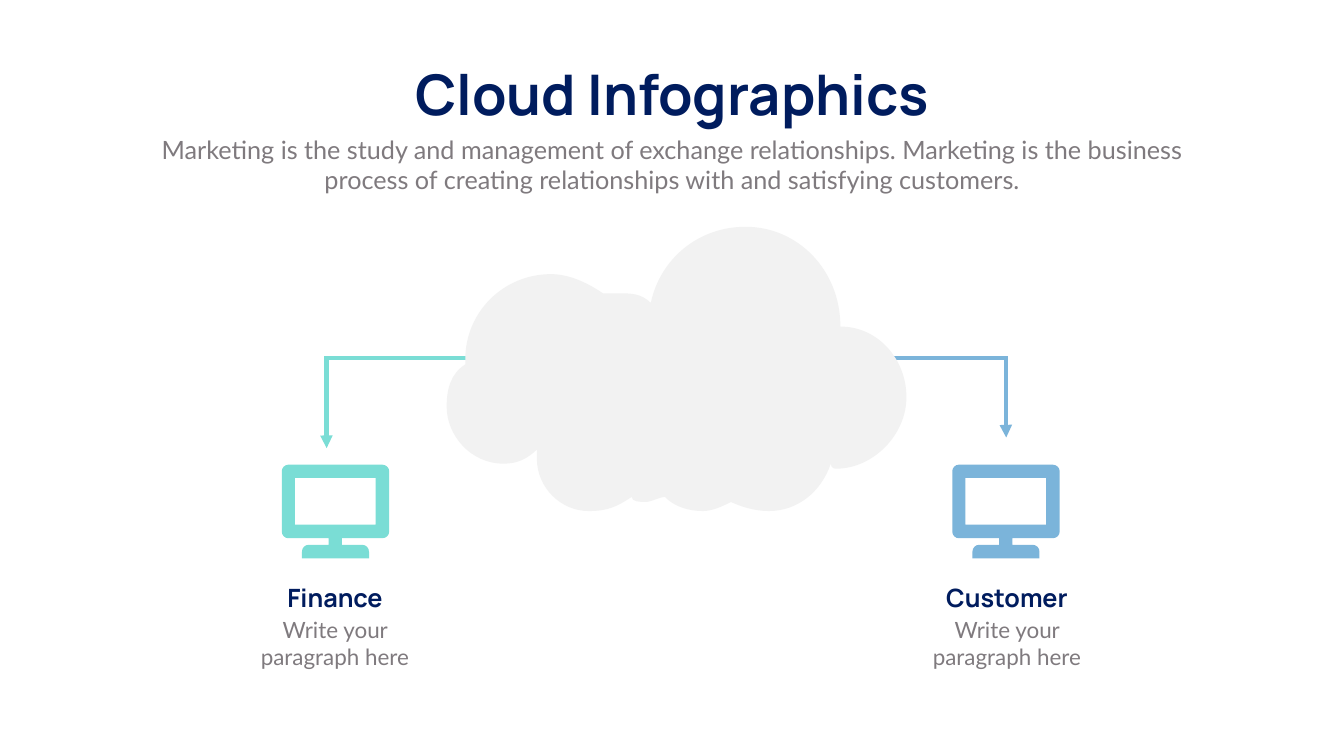
from lxml import etree
from pptx import Presentation
from pptx import util as u
from pptx.dml.color import RGBColor
from pptx.enum import shapes, text
from pptx.oxml.ns import qn

PX = u.Inches(1) // 100
NAVY, GREY, TEAL, BLUE, CLOUD = "001C5E", "7F7A7E", "7ADDD5", "7BB4DA", "F2F2F2"

deck = Presentation()
deck.slide_width, deck.slide_height = 2666 * PX, 1500 * PX
page = deck.slides.add_slide(deck.slide_layouts[6])


def add_text(words, left, top, width, height, size, font="Lato", color=GREY, bold=False, wrap=True):
    box = page.shapes.add_textbox(left * PX, top * PX, width * PX, height * PX)
    box.text_frame.word_wrap = wrap
    box.text_frame.auto_size = text.MSO_AUTO_SIZE.SHAPE_TO_FIT_TEXT
    para = box.text_frame.paragraphs[0]
    para.alignment = text.PP_ALIGN.CENTER
    span = para.add_run()
    span.text = words
    span.font.name, span.font.size, span.font.bold = font, u.Pt(size), bold
    span.font.color.rgb = RGBColor.from_string(color)


def add_outline(contours, color, left=0, top=0):
    builder = page.shapes.build_freeform(*contours[0][0], scale=PX)
    for number, (start, *segments) in enumerate(contours):
        if number:
            builder.move_to(*start)
        builder.add_line_segments([segment[-2:] for segment in segments], close=True)
    shape = builder.convert_to_shape()
    x0, y0 = shape.left // PX, shape.top // PX
    lines = list(shape._element.iter(qn("a:lnTo")))
    segments = [segment for contour in contours for segment in contour[1:]]
    for line, segment in zip(lines, segments):
        if len(segment) == 6:
            curve = etree.Element(qn("a:cubicBezTo"))
            for x, y in zip(segment[::2], segment[1::2]):
                etree.SubElement(curve, qn("a:pt"), x=str(x - x0), y=str(y - y0))
            line.getparent().replace(line, curve)
    shape.left += left * PX
    shape.top += top * PX
    shape.shadow.inherit = False
    shape.fill.solid()
    shape.fill.fore_color.rgb = RGBColor.from_string(color)
    shape.line.fill.background()


monitor = [
    [(199, 0), (13, 0), (6, 0, 0, 6, 0, 13), (0, 133), (0, 140, 6, 146, 13, 146),
     (93, 146), (93, 159), (53, 159), (46, 159, 40, 165, 40, 173), (40, 186),
     (173, 186), (173, 173), (173, 165, 167, 159, 159, 159), (119, 159), (119, 146),
     (199, 146), (207, 146, 213, 140, 213, 133), (213, 13), (213, 6, 207, 0, 199, 0)],
    [(186, 119), (26, 119), (26, 26), (186, 26)],
]
cloud = [[
    (1667, 648), (1667, 535, 1582, 450, 1479, 450), (1384, 450, 1309, 515, 1291, 601),
    (1271, 582, 1253, 582, 1224, 582), (1215, 582, 1206, 582, 1196, 582),
    (1168, 563, 1131, 544, 1093, 544), (999, 544, 923, 619, 923, 713),
    (923, 713, 923, 713, 923, 723), (895, 741, 886, 770, 886, 807),
    (886, 863, 933, 920, 999, 920), (1027, 920, 1046, 910, 1065, 892),
    (1065, 901, 1065, 901, 1065, 910), (1065, 967, 1112, 1014, 1168, 1014),
    (1206, 1014, 1224, 1005, 1253, 986), (1253, 996, 1271, 996, 1281, 996),
    (1291, 996, 1309, 986, 1319, 986), (1337, 1005, 1366, 1014, 1394, 1014),
    (1413, 1014, 1432, 1005, 1450, 996), (1469, 1005, 1497, 1014, 1525, 1014),
    (1582, 1014, 1629, 976, 1648, 920), (1648, 930, 1658, 930, 1658, 930),
    (1732, 930, 1798, 863, 1798, 788), (1798, 713, 1742, 648, 1667, 648),
]]

arrows = [
    (BLUE, (1283, 710), (1996, 868), 99900),
    (TEAL, (1103, 711), (648, 889), 100100),
]
for color, start, end, bend in arrows:
    arrow = page.shapes.add_connector(shapes.MSO_CONNECTOR.ELBOW, *[n * PX for n in start + end])
    arrow.line.width = u.Pt(6)
    arrow.line.color.rgb = RGBColor.from_string(color)
    outline = arrow.line._get_or_add_ln()
    etree.SubElement(outline, qn("a:miter"), lim="800000")
    etree.SubElement(outline, qn("a:tailEnd"), type="triangle")
    properties = arrow._element.spPr
    etree.SubElement(properties, qn("a:effectLst"))
    guides = properties.find(qn("a:prstGeom")).get_or_add_avLst()
    etree.SubElement(guides, qn("a:gd"), name="adj1", fmla=f"val {bend}")

add_outline(cloud, CLOUD)
add_text("Cloud Infographics", 772, 114, 1123, 145, 80, font="Manrope", color=NAVY, bold=True, wrap=False)
add_text("Marketing is the study and management of exchange relationships. Marketing is the business "
         "process of creating relationships with and satisfying customers.", 292, 261, 2082, 131, 36)

for heading, color, icon_left, text_left in [("Finance", TEAL, 559, 492), ("Customer", BLUE, 1889, 1825)]:
    add_outline(monitor, color, left=icon_left, top=922)
    add_text("Write your paragraph here", text_left, 1218, 345, 118, 32)
    add_text(heading, text_left + 11, 1150, 323, 71, 36, font="Manrope", color=NAVY, bold=True)

deck.save("out.pptx")
